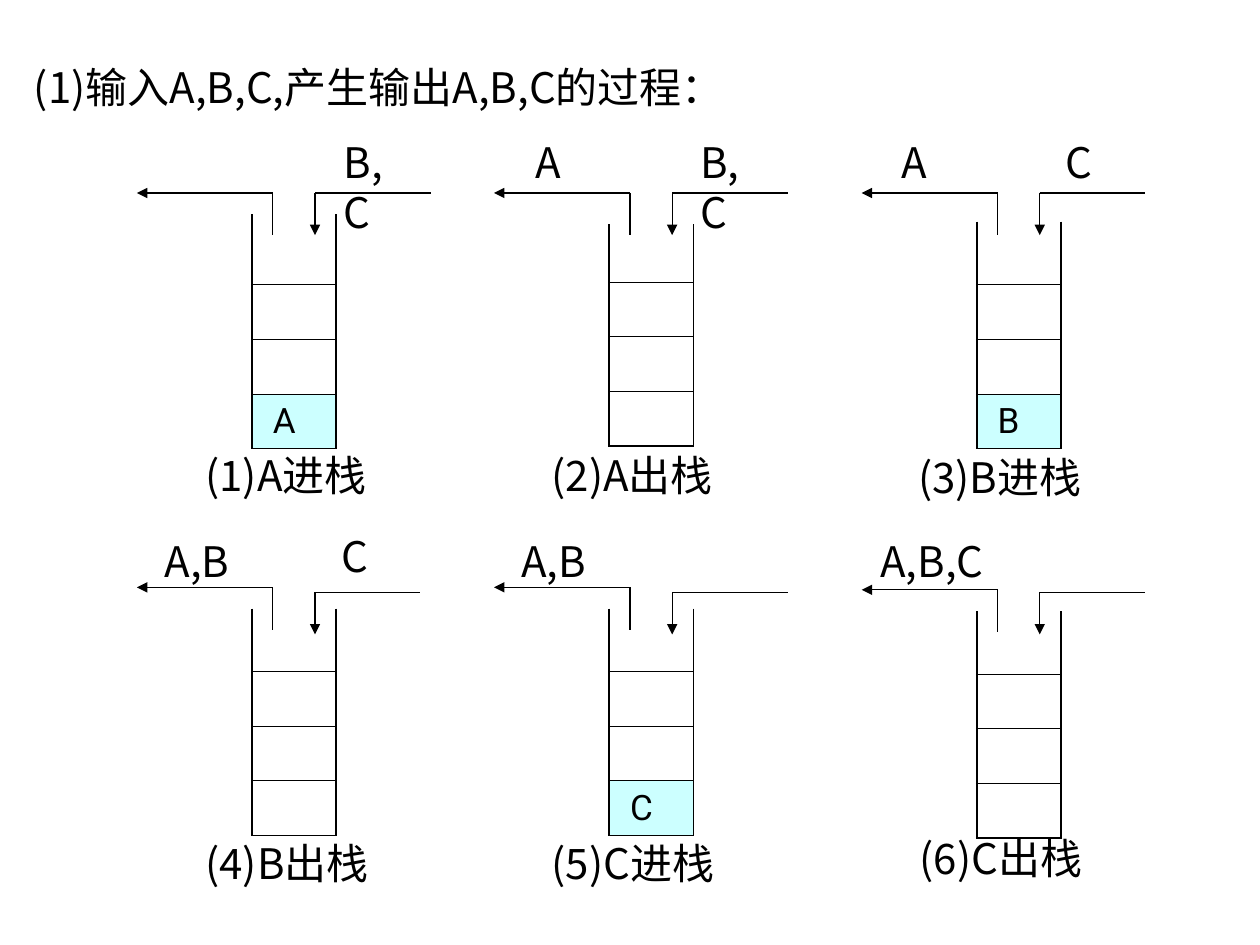
from dataclasses import dataclass
from typing import Optional

from lxml import etree
from pptx import Presentation
from pptx.dml.color import RGBColor
from pptx.enum.shapes import MSO_CONNECTOR
from pptx.enum.text import MSO_ANCHOR, PP_ALIGN
from pptx.oxml.ns import qn
from pptx.util import Cm, Pt

STRAIGHT = MSO_CONNECTOR.STRAIGHT
TOP, MIDDLE = MSO_ANCHOR.TOP, MSO_ANCHOR.MIDDLE
LEFT = PP_ALIGN.LEFT

BLACK, WHITE, CYAN = "000000", "FFFFFF", "CCFFFF"
CJK, LATIN = "Noto Sans CJK SC", "Roboto"
THIN, THICK = 0.45, 1.08
CELL_W, CELL_H = 1.7, 1.1
OUT_X, IN_X, OUT_REACH, ARROW_H = 0.42, 1.27, 2.74, 0.85
TEXT_FMT = {"size": Pt(24), "name": CJK, "bold": False}
CELL_FMT = {"size": Pt(20), "name": LATIN, "bold": False}


@dataclass
class Label:
    text: str
    x: float
    y: float
    w: float


@dataclass
class Stack:
    x: float
    top: float
    open_h: float
    out_y: float
    in_y: float
    in_reach: float
    caption: Label
    item: str = ""
    output: Optional[Label] = None
    waiting: Optional[Label] = None


STACKS = [
    Stack(5.08, 4.32, 1.42, 3.89, 3.89, 2.33, Label("(1)A进栈", 3.89, 8.94, 3.85),
          item="A", waiting=Label("B,C", 6.68, 2.62, 1.75)),
    Stack(12.28, 4.52, 1.17, 3.89, 3.89, 2.33, Label("(2)A出栈", 10.87, 8.94, 3.85),
          output=Label("A", 10.54, 2.62, 1.04), waiting=Label("B,C", 13.87, 2.62, 1.75)),
    Stack(19.69, 4.47, 1.27, 3.89, 3.89, 2.12, Label("(3)B进栈", 18.26, 8.97, 3.85),
          item="B", output=Label("A", 17.93, 2.62, 1.04),
          waiting=Label("C", 21.23, 2.62, 1.04)),
    Stack(5.08, 12.27, 1.27, 11.84, 11.94, 2.12, Label("(4)B出栈", 3.89, 16.76, 3.85),
          output=Label("A,B", 3.07, 10.67, 1.88), waiting=Label("C", 6.63, 10.57, 1.04)),
    Stack(12.28, 12.27, 1.27, 11.84, 11.94, 2.33, Label("(5)C进栈", 10.87, 16.76, 3.85),
          item="C", output=Label("A,B", 10.26, 10.67, 1.88)),
    Stack(19.69, 12.32, 1.27, 11.89, 11.94, 2.12, Label("(6)C出栈", 18.29, 16.66, 3.85),
          output=Label("A,B,C", 17.5, 10.67, 2.67)),
]


def rgb(color: str) -> RGBColor:
    return RGBColor.from_string(color)


def write(tf, text: str, fmt: dict) -> None:
    p = tf.paragraphs[0]
    p.alignment = LEFT
    r = p.add_run()
    r.text = text
    for key, value in fmt.items():
        setattr(r.font, key, value)
    r.font.color.rgb = rgb(BLACK)
    etree.SubElement(r.font._element, qn("a:ea"), typeface=fmt["name"])


def add_label(slide, label: Label) -> None:
    sp = slide.shapes.add_textbox(Cm(label.x), Cm(label.y), Cm(label.w), Cm(1.27))
    sp.text_frame.word_wrap = True
    sp.text_frame.vertical_anchor = TOP
    write(sp.text_frame, label.text, TEXT_FMT)


def add_line(slide, x1: float, y1: float, x2: float, y2: float, arrow: str = "") -> None:
    sp = slide.shapes.add_connector(STRAIGHT, Cm(x1), Cm(y1), Cm(x2), Cm(y2))
    sp.line.color.rgb = rgb(BLACK)
    sp.line.width = Pt(0.75)
    if arrow:
        etree.SubElement(sp.line._get_or_add_ln(), qn(f"a:{arrow}"), type="triangle")
    etree.SubElement(sp._element.spPr, qn("a:effectLst"))


def set_border(cell, side: str, width: float) -> None:
    tc_pr = cell._tc.get_or_add_tcPr()
    ln = etree.SubElement(tc_pr, qn(f"a:ln{side}"), w=str(int(Pt(width))))
    if width:
        fill = etree.SubElement(ln, qn("a:solidFill"))
        etree.SubElement(fill, qn("a:srgbClr"), val=BLACK)
    else:
        etree.SubElement(ln, qn("a:noFill"))


def add_cells(slide, stack: Stack) -> None:
    heights = [stack.open_h] + [CELL_H] * 3
    table = slide.shapes.add_table(4, 1, Cm(stack.x), Cm(stack.top),
                                   Cm(CELL_W), Cm(sum(heights))).table
    table.first_row = table.horz_banding = False
    table.columns[0].width = Cm(CELL_W)
    for i, height in enumerate(heights):
        table.rows[i].height = Cm(height)
        cell = table.cell(i, 0)
        first, last = i == 0, i == len(heights) - 1
        borders = {"L": THICK, "R": THICK, "T": 0 if first else THIN,
                   "B": THICK if last else THIN}
        for side, width in borders.items():
            set_border(cell, side, width)
        cell.margin_left = Cm(0.42)
        cell.margin_top = cell.margin_bottom = Cm(0.1)
        cell.vertical_anchor = MIDDLE
        if first:
            cell.fill.background()
            continue
        filled = last and stack.item
        cell.fill.solid()
        cell.fill.fore_color.rgb = rgb(CYAN if filled else WHITE)
        if filled:
            write(cell.text_frame, stack.item, CELL_FMT)


def add_stack(slide, stack: Stack) -> None:
    add_cells(slide, stack)
    out_x, in_x = stack.x + OUT_X, stack.x + IN_X
    add_line(slide, out_x, stack.out_y, out_x, stack.out_y + ARROW_H)
    add_line(slide, in_x, stack.in_y, in_x, stack.in_y + ARROW_H, "tailEnd")
    add_line(slide, out_x - OUT_REACH, stack.out_y, out_x, stack.out_y, "headEnd")
    add_line(slide, in_x, stack.in_y, in_x + stack.in_reach, stack.in_y)
    for label in (stack.caption, stack.output, stack.waiting):
        if label:
            add_label(slide, label)


def add_title(slide, text: str) -> None:
    sp = slide.shapes.title
    sp.left, sp.top, sp.width, sp.height = Cm(0.43), Cm(1.12), Cm(15.88), Cm(1.27)
    sp.text_frame.vertical_anchor = TOP
    write(sp.text_frame, text, TEXT_FMT)


def main() -> None:
    prs = Presentation()
    prs.slide_width, prs.slide_height = Cm(25.4), Cm(19.05)
    slide = prs.slides.add_slide(prs.slide_layouts[5])
    add_title(slide, "(1)输入A,B,C,产生输出A,B,C的过程：")
    for stack in STACKS:
        add_stack(slide, stack)
    prs.save("out.pptx")


if __name__ == "__main__":
    main()
